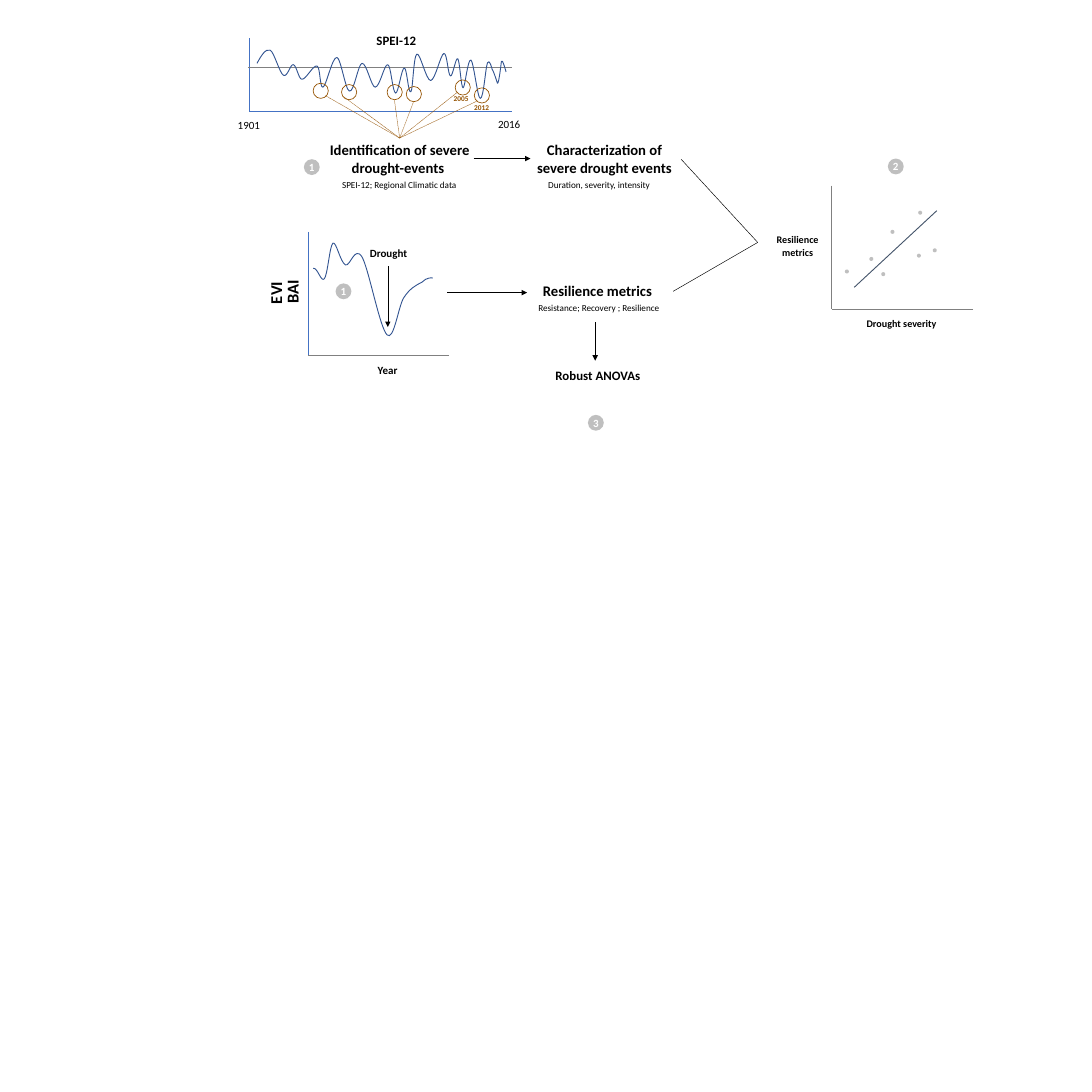
from lxml import etree
from pptx import Presentation
from pptx.dml.color import RGBColor
from pptx.enum.dml import MSO_LINE
from pptx.enum.shapes import MSO_CONNECTOR, MSO_SHAPE
from pptx.enum.text import MSO_ANCHOR, MSO_AUTO_SIZE, PP_ALIGN
from pptx.oxml.ns import qn
from pptx.util import Emu, Inches, Pt

STRAIGHT, OVAL = MSO_CONNECTOR.STRAIGHT, MSO_SHAPE.OVAL
DOTTED, MIDDLE = MSO_LINE.ROUND_DOT, MSO_ANCHOR.MIDDLE
LEFT, CENTER = PP_ALIGN.LEFT, PP_ALIGN.CENTER
GROW = MSO_AUTO_SIZE.SHAPE_TO_FIT_TEXT
TOP_SIDE, RIGHT_SIDE = 0, 3
SIDE = Inches(16.53)
COLUMNS = 16.53
FONT = "Calibri"
BLACK, WHITE, GRAY, SILVER = "000000", "FFFFFF", "808080", "BFBFBF"
BLUE, NAVY, BROWN, SLATE = "4472C4", "325491", "945200", "44546A"

SPEI_CURVE = [
    (3.89, 0.96),
    (3.95, 0.85, 4.02, 0.73, 4.09, 0.76), (4.15, 0.79, 4.23, 1.1, 4.29, 1.14),
    (4.35, 1.18, 4.4, 0.96, 4.44, 0.98), (4.49, 0.99, 4.52, 1.2, 4.57, 1.2),
    (4.63, 1.21, 4.74, 0.98, 4.8, 1), (4.85, 1.02, 4.84, 1.34, 4.89, 1.32),
    (4.94, 1.3, 5.03, 0.86, 5.1, 0.87), (5.16, 0.88, 5.23, 1.37, 5.29, 1.38),
    (5.36, 1.4, 5.42, 0.97, 5.48, 0.96), (5.55, 0.95, 5.62, 1.32, 5.68, 1.32),
    (5.75, 1.32, 5.82, 0.96, 5.87, 0.98), (5.92, 0.99, 5.94, 1.4, 5.99, 1.41),
    (6.03, 1.41, 6.08, 1.03, 6.12, 1.03), (6.16, 1.02, 6.18, 1.43, 6.22, 1.39),
    (6.25, 1.36, 6.26, 0.85, 6.31, 0.82), (6.36, 0.79, 6.45, 1.22, 6.52, 1.22),
    (6.59, 1.21, 6.67, 0.82, 6.72, 0.81), (6.77, 0.8, 6.78, 1.14, 6.82, 1.15),
    (6.85, 1.17, 6.9, 0.86, 6.93, 0.89), (6.96, 0.92, 6.98, 1.33, 7.01, 1.33),
    (7.04, 1.33, 7.08, 0.88, 7.13, 0.91), (7.17, 0.94, 7.23, 1.49, 7.27, 1.49),
    (7.32, 1.5, 7.35, 1.02, 7.38, 0.95), (7.41, 0.88, 7.45, 1.05, 7.45, 1.05),
    (7.47, 1.07, 7.53, 1.26, 7.53, 1.26), (7.55, 1.29, 7.59, 0.93, 7.59, 0.93),
    (7.6, 0.87, 7.66, 1.08, 7.66, 1.09)]
GROWTH_CURVE = [
    (4.74, 4.06),
    (4.81, 4.05, 4.86, 4.28, 4.91, 4.22), (4.96, 4.16, 4.99, 3.72, 5.04, 3.68),
    (5.09, 3.65, 5.15, 3.97, 5.23, 4.01), (5.3, 4.04, 5.37, 3.71, 5.48, 3.89),
    (5.58, 4.06, 5.75, 4.97, 5.86, 5.07), (5.96, 5.17, 6.03, 4.64, 6.11, 4.51),
    (6.2, 4.37, 6.29, 4.32, 6.39, 4.27), (6.45, 4.2, 6.55, 4.2, 6.55, 4.21)]

DROUGHT_RINGS = [(6.89, 1.21), (7.18, 1.33), (5.86, 1.28), (5.17, 1.28), (4.74, 1.26), (6.15, 1.31)]
RING_SIZE = 0.23
FAN_STARTS = [(6.92, 1.4), (5.97, 1.51), (7.22, 1.53), (6.26, 1.54), (5.21, 1.47), (4.93, 1.45)]
FAN_TIP = (6.05, 2.09)
BADGES = [("2", 13.44, 2.4), ("1", 4.6, 2.41), ("3", 8.9, 6.28), ("1", 5.08, 4.29)]
BADGE_SIZE = 0.24
SCATTER_DOTS = [(13.48, 3.48), (12.79, 4.08), (13.34, 4.12), (14.12, 3.76),
                (13.88, 3.84), (13.9, 3.19), (13.16, 3.89)]
DOT_SIZE = 0.06

AXES = [
    ((3.77, 0.58), (3.77, 1.69), BLUE), ((7.75, 1.69), (3.77, 1.69), BLUE),
    ((7.75, 1.02), (3.75, 1.02), GRAY),
    ((4.66, 3.51), (4.66, 5.38), BLUE), ((6.8, 5.38), (4.66, 5.38), GRAY),
    ((12.59, 2.81), (12.59, 4.68), GRAY), ((14.73, 4.68), (12.59, 4.68), GRAY)]
TREND = ((12.93, 4.35), (14.18, 3.19))
ARROWS = [((5.87, 4.03), (5.87, 4.95)), ((6.77, 4.43), (7.98, 4.43)),
          ((7.17, 2.4), (8.03, 2.4)), ((9.01, 4.88), (9.01, 5.46))]
MERGE_POINT = (11.47, 3.67)
METRICS_EXIT = (10.19, 4.41)
EVENTS_EXIT = (10.31, 2.41)

IDENTIFICATION = "Identification of severe drought-events "
CHARACTERIZATION = "Characterization of severe drought events"
HEADINGS = [
    (IDENTIFICATION, 4.89, 2.09, 2.32, 0.64, 16),
    (CHARACTERIZATION, 7.99, 2.09, 2.32, 0.64, 16),
    ("Resilience metrics", 7.99, 4.21, 2.11, 0.37, 16),
    ("Resilience metrics", 11.61, 3.49, 0.93, 0.47, 11)]
LABELS = [
    ("SPEI-12", 5.6, 0.44, 0.81, 0.34, 14, True, BLACK, 0),
    ("2012", 7.08, 1.51, 0.43, 0.24, 8, True, BROWN, 0),
    ("2005", 6.77, 1.38, 0.43, 0.24, 8, True, BROWN, 0),
    ("1901", 3.5, 1.75, 0.55, 0.3, 12, False, BLACK, 0),
    ("2016", 7.44, 1.73, 0.55, 0.3, 12, False, BLACK, 0),
    ("SPEI-12; Regional Climatic data", 5.08, 2.67, 1.96, 0.27, 10, False, BLACK, 0),
    ("Duration, severity, intensity", 8.2, 2.67, 1.78, 0.27, 10, False, BLACK, 0),
    ("Resistance; Recovery ; Resilience", 8.05, 4.53, 2.07, 0.27, 10, False, BLACK, 0),
    ("BAI", 4.11, 4.18, 0.62, 0.4, 18, True, BLACK, 270),
    ("EVI", 3.9, 4.23, 0.54, 0.4, 18, True, BLACK, 270),
    ("Drought", 5.5, 3.68, 0.78, 0.3, 12, True, BLACK, 0),
    ("Year", 5.62, 5.45, 0.5, 0.3, 12, True, BLACK, 0),
    ("Robust ANOVAs", 8.31, 5.52, 1.5, 0.34, 14, True, BLACK, 0),
    ("Drought severity", 13.02, 4.76, 1.27, 0.29, 11, True, BLACK, 0)]


def grid(*columns):
    return [Emu(round(SIDE * column / COLUMNS)) for column in columns]


def color(value):
    return RGBColor.from_string(value)


def assign(target, values):
    for name, value in values.items():
        setattr(target, name, value)


def write(frame, text, size, bold, ink, align):
    para = frame.paragraphs[0]
    para.alignment = align
    span = para.add_run()
    span.text = text
    assign(span.font, {"name": FONT, "size": Pt(size), "bold": bold})
    span.font.color.rgb = color(ink)


def add_label(page, text, left, top, width, height, size, bold=True, ink=BLACK,
              rotation=0, align=LEFT, wrap=False):
    box = page.shapes.add_textbox(*grid(left, top, width, height))
    box.rotation = rotation
    assign(box.text_frame, {"word_wrap": wrap, "auto_size": GROW})
    write(box.text_frame, text, size, bold, ink, align)
    return box


def outline(shape, ink, width):
    shape.line.color.rgb = color(ink)
    shape.line.width = Pt(width)


def add_line(page, start, end, ink=BLACK, width=0.5, arrow=False, dash=None):
    line = page.shapes.add_connector(STRAIGHT, *grid(*start, *end))
    outline(line, ink, width)
    if dash:
        line.line.dash_style = dash
    properties = line._element.spPr
    if arrow:
        etree.SubElement(properties.find(qn("a:ln")), qn("a:tailEnd"), type="triangle")
    etree.SubElement(properties, qn("a:effectLst"))
    return line


def add_circle(page, left, top, size, fill=None):
    circle = page.shapes.add_shape(OVAL, *grid(left, top, size, size))
    circle.shadow.inherit = False
    if fill:
        circle.fill.solid()
        circle.fill.fore_color.rgb = color(fill)
        circle.line.fill.background()
    else:
        circle.fill.background()
        outline(circle, BROWN, 0.75)
    return circle


def add_curve(page, curve):
    start, *segments = curve
    builder = page.shapes.build_freeform(*grid(*start))
    builder.add_line_segments([grid(*segment[4:]) for segment in segments], close=False)
    shape = builder.convert_to_shape()
    straights = list(shape._element.iter(qn("a:lnTo")))
    for straight, segment in zip(straights, segments):
        bend = etree.Element(qn("a:cubicBezTo"))
        for index in (0, 2, 4):
            x, y = grid(*segment[index:index + 2])
            etree.SubElement(bend, qn("a:pt"), x=str(x - shape.left), y=str(y - shape.top))
        straight.getparent().replace(straight, bend)
    shape.shadow.inherit = False
    shape.fill.background()
    outline(shape, NAVY, 1)


def main():
    deck = Presentation()
    assign(deck, {"slide_width": SIDE, "slide_height": SIDE})
    page = deck.slides.add_slide(deck.slide_layouts[6])

    for start, end, ink in AXES:
        add_line(page, start, end, ink)
    for curve in (SPEI_CURVE, GROWTH_CURVE):
        add_curve(page, curve)
    headings = {}
    for heading in HEADINGS:
        headings[heading[0]] = add_label(page, *heading, align=CENTER, wrap=True)
    for label in LABELS:
        add_label(page, *label)

    for left, top in DROUGHT_RINGS:
        add_circle(page, left, top, RING_SIZE)
    for start in FAN_STARTS:
        ray = add_line(page, start, FAN_TIP, BROWN, dash=DOTTED)
        ray.end_connect(headings[IDENTIFICATION], TOP_SIDE)
    for number, left, top in BADGES:
        badge = add_circle(page, left, top, BADGE_SIZE, SILVER)
        assign(badge.text_frame, {"word_wrap": False, "vertical_anchor": MIDDLE,
                                  "margin_left": 0, "margin_right": 0,
                                  "margin_top": 0, "margin_bottom": 0})
        write(badge.text_frame, number, 12, True, WHITE, CENTER)
    for left, top in SCATTER_DOTS:
        add_circle(page, left, top, DOT_SIZE, SILVER)
    add_line(page, *TREND, SLATE, 1)

    for start, end in ARROWS:
        add_line(page, start, end, arrow=True)
    add_line(page, METRICS_EXIT, MERGE_POINT)
    events = add_line(page, EVENTS_EXIT, MERGE_POINT)
    events.begin_connect(headings[CHARACTERIZATION], RIGHT_SIDE)
    deck.save("out.pptx")


if __name__ == "__main__":
    main()
